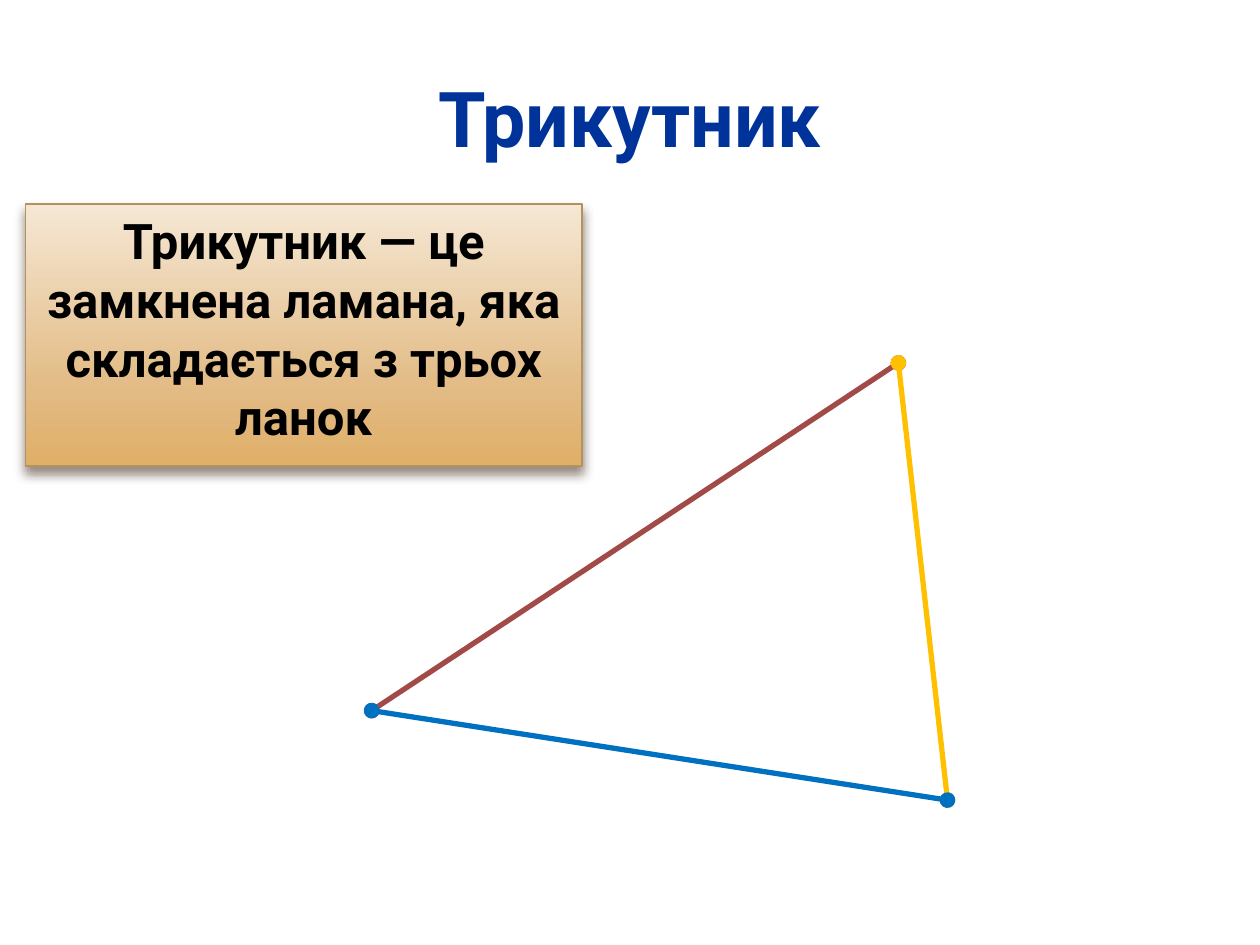
from pptx import Presentation
from pptx.dml.color import RGBColor as RGB
from pptx.enum.shapes import MSO_CONNECTOR as LINK
from pptx.enum.text import MSO_ANCHOR as ANCHOR, MSO_AUTO_SIZE as AUTO, PP_ALIGN as ALIGN
from pptx.oxml import parse_xml
from pptx.oxml.ns import nsdecls
from pptx.util import Inches, Pt

COLORS = {
    "title": "00339A", "text": "000000", "edge": "B2935C", "shade": "4E3B30",
    "red": "A24A48", "gold": "FFC000", "blue": "0070C0",
}
STOPS = [(0, "F5E7D4"), (72, "E2BA83"), (100, "E0AF68")]
FONT = {"name": "Roboto", "bold": True}
FRAME = {"word_wrap": True, "auto_size": AUTO.NONE}


def color(key):
    return RGB.from_string(COLORS[key])


def node(tag, attrs="", inner=""):
    return parse_xml(f"<a:{tag} {nsdecls('a')} {attrs}>{inner}</a:{tag}>")


def set_all(item, values):
    for key, value in values.items():
        setattr(item, key, value)


def place(shape, box):
    names = ("left", "top", "width", "height")
    set_all(shape, dict(zip(names, map(Inches, box))))


def write(shape, text, size, tint, anchor):
    frame = shape.text_frame
    set_all(frame, {**FRAME, "vertical_anchor": anchor})
    frame.text = text
    para = frame.paragraphs[0]
    set_all(para, {"alignment": ALIGN.CENTER, "space_before": Pt(0)})
    font = para.runs[0].font
    set_all(font, {**FONT, "size": Pt(size)})
    font.color.rgb = color(tint)
    return para


def add_title(slide, box):
    title = slide.shapes.title
    place(title, box)
    write(title, "Трикутник", 44, "title", ANCHOR.MIDDLE)


def add_rule(slide, box):
    card = slide.placeholders[1]
    place(card, box)
    para = write(card, "Трикутник — це замкнена ламана, яка складається з трьох ланок",
                 28, "text", ANCHOR.TOP)
    props = para._p.get_or_add_pPr()
    set_all(props, {"marL": 0, "indent": 0})
    props.set("marL", "0")
    props.set("indent", "0")
    props.append(node("buNone"))

    card.line.color.rgb = color("edge")
    card.line.width = Pt(0.79)
    stops = "".join(f'<a:gs pos="{pos * 1000}"><a:srgbClr val="{tint}"/></a:gs>'
                    for pos, tint in STOPS)
    edge = card.line._get_or_add_ln()
    edge.addprevious(node("gradFill", 'rotWithShape="1"',
                          f'<a:gsLst>{stops}</a:gsLst><a:lin ang="5400000" scaled="0"/>'))
    edge.addnext(node("effectLst", "", (
        f'<a:outerShdw blurRad="{Pt(6)}" dist="{Pt(4)}" dir="5400000" rotWithShape="0">'
        f'<a:srgbClr val="{COLORS["shade"]}"><a:alpha val="60000"/></a:srgbClr>'
        '</a:outerShdw>')))


def add_side(slide, start, end, tint):
    side = slide.shapes.add_connector(LINK.STRAIGHT, *map(Inches, start + end))
    side.line.color.rgb = color(tint)
    side.line.width = Pt(3)
    edge = side.line._get_or_add_ln()
    for tag in ("headEnd", "tailEnd"):
        edge.append(node(tag, 'type="oval"'))
    edge.addnext(node("effectLst"))


def add_triangle(slide, box):
    left, top, width, height = box
    base = (left, top + 2.76)
    peak = (left + 4.18, top)
    foot = (left + width, top + height)
    for start, end, tint in ((base, peak, "red"), (peak, foot, "gold"), (base, foot, "blue")):
        add_side(slide, start, end, tint)


def main():
    deck = Presentation()
    set_all(deck, {"slide_width": Inches(10), "slide_height": Inches(7.5)})
    slide = deck.slides.add_slide(deck.slide_layouts[1])
    add_title(slide, (0.5, 0.3, 9, 1.25))
    add_rule(slide, (0.2, 1.62, 4.42, 2.08))
    add_triangle(slide, (2.95, 2.88, 4.57, 3.47))
    deck.save("out.pptx")


if __name__ == "__main__":
    main()
